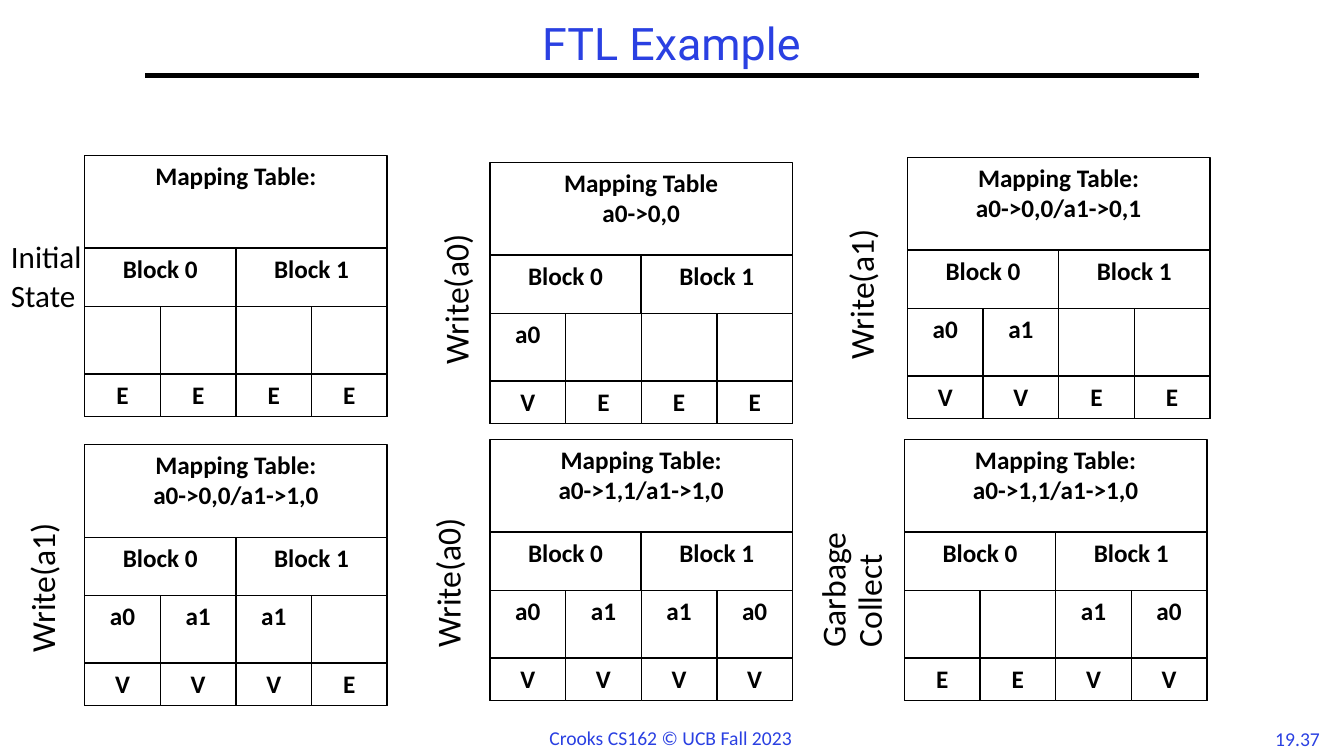
from lxml import etree
from pptx import Presentation
from pptx.dml.color import RGBColor
from pptx.enum.shapes import MSO_CONNECTOR as Connector, MSO_SHAPE as Shape
from pptx.enum.text import MSO_ANCHOR as Anchor, PP_ALIGN as Align
from pptx.oxml.ns import qn
from pptx.util import Inches, Pt

BLACK = RGBColor(0x00, 0x00, 0x00)
WHITE = RGBColor(0xFF, 0xFF, 0xFF)
BLUE = RGBColor(0x2A, 0x40, 0xE2)

TABLE_WIDTH, HEADER_HEIGHT = 3, 0.92
BLOCK_WIDTH, BLOCK_HEIGHT = 1.5, 1.67
PAGE_WIDTH, PAGE_HEIGHT, PAGE_OFFSET = 0.75, 0.67, 1.5
FLAG_HEIGHT, FLAG_OFFSET = 0.42, 2.17

FTL_STATES = [
    ((0.84, 1.54), ["Mapping Table:"], ["", "", "", ""], "EEEE"),
    ((4.86, 1.61), ["Mapping Table", "a0->0,0"], ["a0", "", "", ""], "VEEE"),
    ((9, 1.56), ["Mapping Table:", "a0->0,0/a1->0,1"], ["a0", "a1", "", ""], "VVEE"),
    ((0.84, 4.41), ["Mapping Table:", "a0->0,0/a1->1,0"], ["a0", "a1", "a1", ""], "VVVE"),
    ((4.86, 4.36), ["Mapping Table:", "a0->1,1/a1->1,0"], ["a0", "a1", "a1", "a0"], "VVVV"),
    ((8.97, 4.36), ["Mapping Table:", "a0->1,1/a1->1,0"], ["", "", "a1", "a0"], "EEVV"),
]
STEP_LABELS = [
    (3.97, 2.55, "Write(a0)"),
    (7.99, 2.5, "Write(a1)"),
    (-0.13, 5.41, "Write(a1)"),
    (3.89, 5.36, "Write(a0)"),
    (7.71, 5.36, "Garbage Collect"),
]


class FlashSlide:
    """Draws the parts of the FTL slide in one shared style."""

    def __init__(self, slide, font="Calibri"):
        self.slide = slide
        self.font = font

    def add_lines(self, frame, lines, size, color=BLACK, bold=False, align=Align.LEFT,
                  spacing=None, gap=0, font=None):
        for index, line in enumerate(lines):
            paragraph = frame.add_paragraph() if index else frame.paragraphs[0]
            paragraph.alignment = align
            paragraph.line_spacing = spacing
            if index and gap:
                paragraph.space_before = Pt(gap)
            run = paragraph.add_run()
            run.text = line
            run.font.name = font or self.font
            run.font.size = Pt(size)
            run.font.bold = bold
            run.font.color.rgb = color

    def text(self, left, top, width, height, lines, size, wrap=True, rotation=0,
             anchor=Anchor.TOP, **style):
        box = self.slide.shapes.add_textbox(
            Inches(left), Inches(top), Inches(width), Inches(height))
        box.rotation = rotation
        box.text_frame.word_wrap = wrap
        box.text_frame.vertical_anchor = anchor
        self.add_lines(box.text_frame, lines, size, **style)

    def rule(self, left, right, y, width):
        line = self.slide.shapes.add_connector(
            Connector.STRAIGHT, Inches(left), Inches(y), Inches(right), Inches(y))
        line.line.color.rgb = BLACK
        line.line.width = Pt(width)
        properties = line._element.find(qn("p:spPr"))
        etree.SubElement(properties, qn("a:effectLst"))

    def cell(self, group, left, top, width, height, lines):
        shape = group.shapes.add_shape(
            Shape.RECTANGLE, Inches(left), Inches(top), Inches(width), Inches(height))
        shape.shadow.inherit = False
        shape.fill.solid()
        shape.fill.fore_color.rgb = WHITE
        shape.line.color.rgb = BLACK
        shape.line.width = Pt(1)
        shape.text_frame.vertical_anchor = Anchor.TOP
        if any(lines):
            self.add_lines(shape.text_frame, lines, 18, bold=True, align=Align.CENTER)

    def state(self, left, top, mapping, pages, flags):
        group = self.slide.shapes.add_group_shape()
        for block in range(2):
            self.cell(group, left + block * BLOCK_WIDTH, top + HEADER_HEIGHT,
                      BLOCK_WIDTH, BLOCK_HEIGHT, [f"Block {block}"])
        self.cell(group, left, top, TABLE_WIDTH, HEADER_HEIGHT, mapping)
        for index, (page, flag) in enumerate(zip(pages, flags)):
            x = left + index * PAGE_WIDTH
            self.cell(group, x, top + PAGE_OFFSET, PAGE_WIDTH, PAGE_HEIGHT, [page])
            self.cell(group, x, top + FLAG_OFFSET, PAGE_WIDTH, FLAG_HEIGHT, [flag])


def main():
    presentation = Presentation()
    presentation.slide_width = Inches(13.33)
    presentation.slide_height = Inches(7.5)
    flash = FlashSlide(presentation.slides.add_slide(presentation.slide_layouts[6]))

    flash.text(12.53, 7.16, 0.68, 0.33, ["19.37"], 14, wrap=False, color=BLUE,
               align=Align.CENTER)
    flash.rule(1.44, 11.89, 0.75, 3)
    flash.text(5.35, 7.15, 2.63, 0.34, ["Crooks CS162 © UCB Fall 2023"], 14,
               wrap=False, color=BLUE)
    flash.text(1.44, 0.17, 10.44, 0.58, ["FTL Example"], 32, anchor=Anchor.MIDDLE,
               color=BLUE, align=Align.CENTER, spacing=0.9, font="Roboto")

    for (left, top), mapping, pages, flags in FTL_STATES:
        flash.state(left, top, mapping, pages, flags)
    flash.text(0.01, 2.38, 0.99, 0.82, ["Initial", "State"], 22.2, spacing=0.8, gap=6.66)
    for left, top, label in STEP_LABELS:
        flash.text(left, top, 1.5, 0.82, [label], 24, rotation=270, spacing=0.9)

    presentation.save("out.pptx")


if __name__ == "__main__":
    main()
